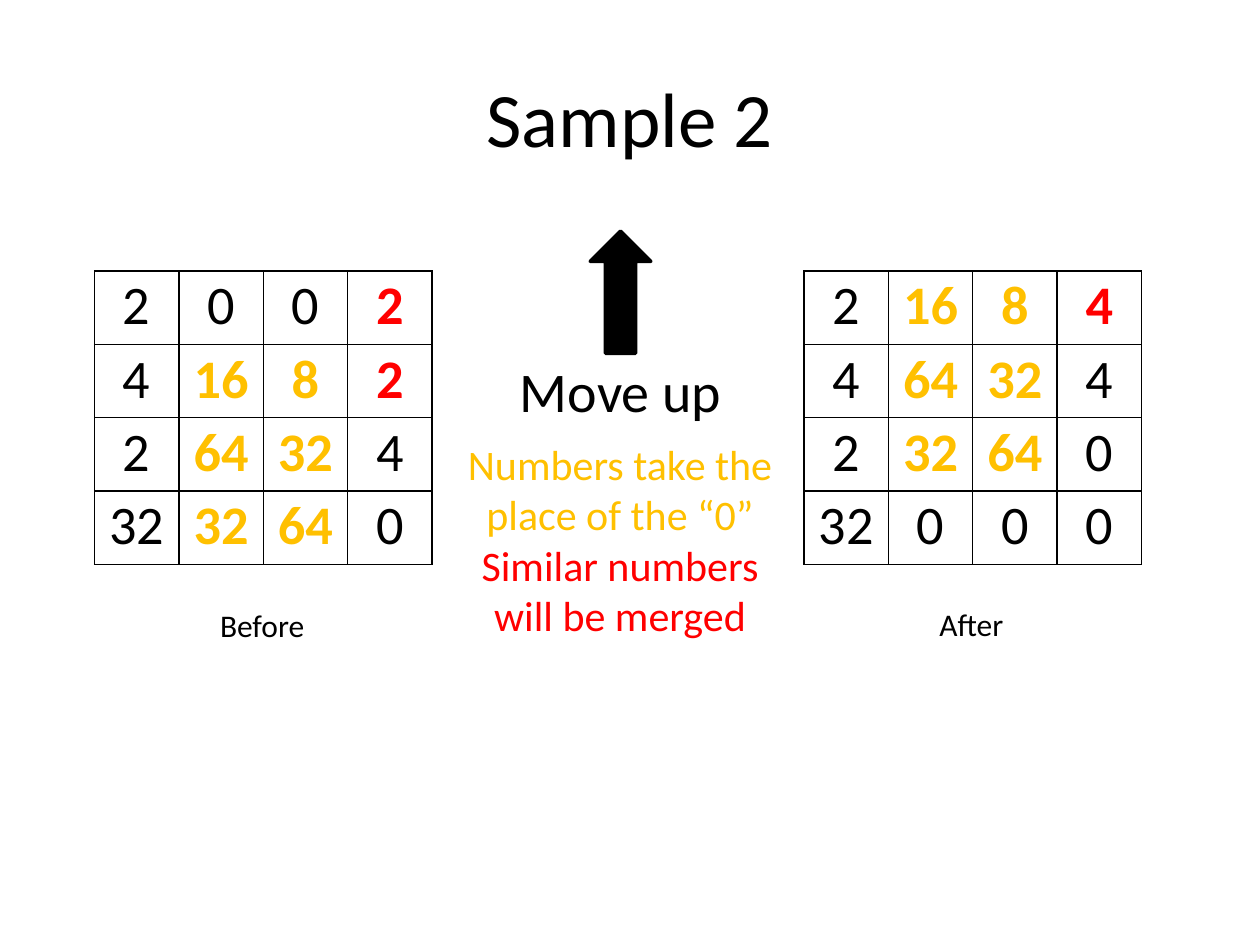
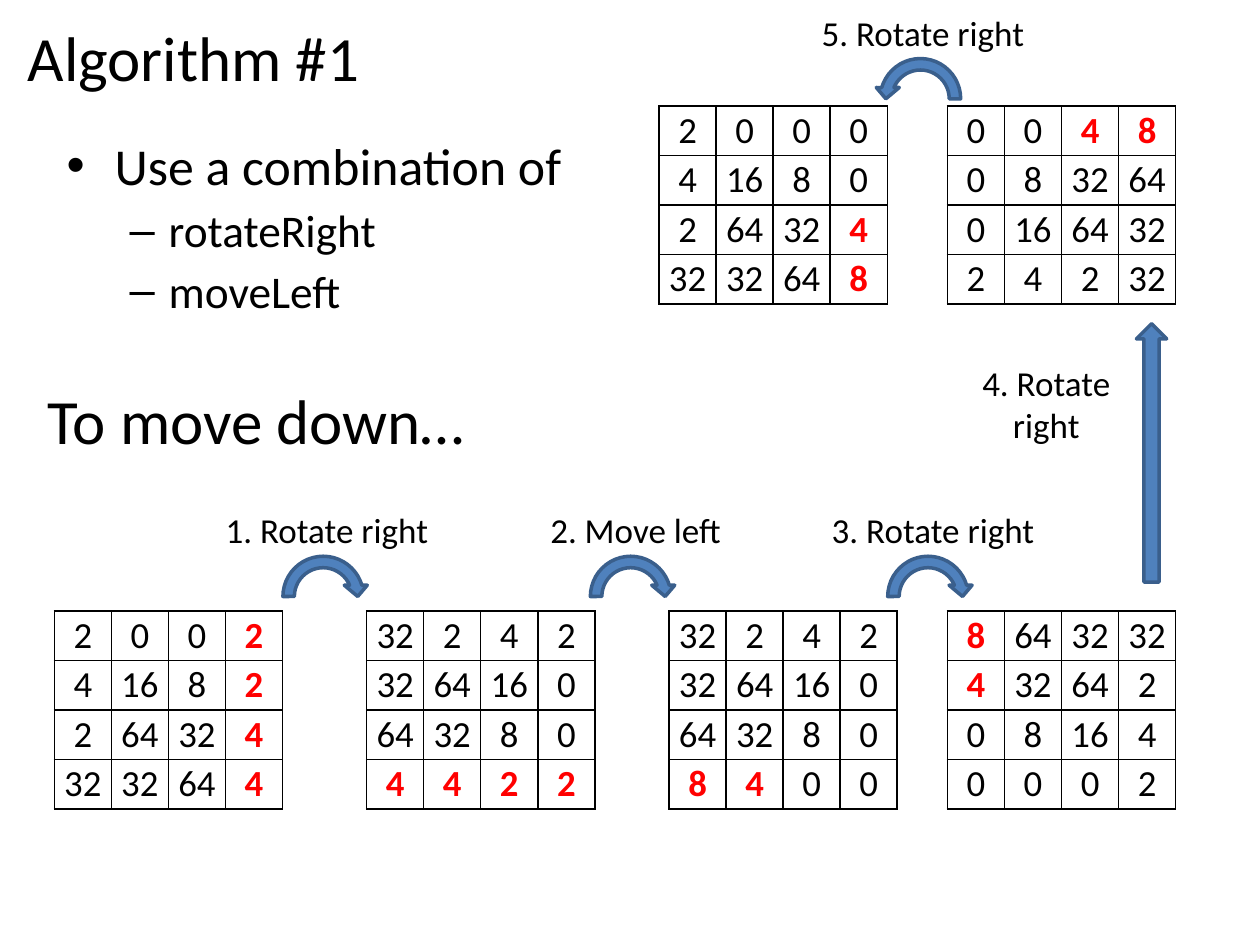
from lxml import etree
from pptx import Presentation
from pptx.dml.color import RGBColor
from pptx.enum.shapes import MSO_SHAPE
from pptx.enum.text import MSO_ANCHOR, PP_ALIGN
from pptx.oxml.ns import qn
from pptx.util import Pt

UP_ARROW = MSO_SHAPE.UP_ARROW
CURVED_ARROW = MSO_SHAPE.CIRCULAR_ARROW
LEFT, CENTER = PP_ALIGN.LEFT, PP_ALIGN.CENTER
MIDDLE = MSO_ANCHOR.MIDDLE

BLACK = RGBColor(0x00, 0x00, 0x00)
RED = RGBColor(0xFF, 0x00, 0x00)
AMBER = RGBColor(0xFF, 0xC0, 0x00)
BLUE = RGBColor(0x4F, 0x81, 0xBD)
DARK_BLUE = RGBColor(0x3A, 0x5F, 0x8C)

FONT = "Calibri"
TITLE_ONLY = 5
MARKS = {"*": RED, "+": AMBER}
LARGE = {"cell_w": 48.24, "cell_h": 41.95, "size": 31, "margin": 3.6}
SMALL = {"cell_w": 32.6, "cell_h": 28.3, "size": 21, "margin": 2.2}

BEFORE = ["2 0 0 2*", "4 16+ 8+ 2*", "2 64+ 32+ 4", "32 32+ 64+ 0"]
AFTER = ["2 16+ 8+ 4*", "4 64+ 32+ 4", "2 32+ 64+ 0", "32 0 0 0"]

LOWER_TOP, UPPER_TOP = 349.2, 60.5
STEP_BOARDS = [
    (31, LOWER_TOP, ["2 0 0 2*", "4 16 8 2*", "2 64 32 4*", "32 32 64 4*"]),
    (209.5, LOWER_TOP, ["32 2 4 2", "32 64 16 0", "64 32 8 0", "4* 4* 2* 2*"]),
    (382.3, LOWER_TOP, ["32 2 4 2", "32 64 16 0", "64 32 8 0", "8* 4* 0 0"]),
    (541.4, LOWER_TOP, ["8* 64 32 32", "4* 32 64 2", "0 8 16 4", "0 0 0 2"]),
    (541.4, UPPER_TOP, ["0 0 4* 8*", "0 8 32 64", "0 16 64 32", "2 4 2 32"]),
    (376.6, UPPER_TOP, ["2 0 0 0", "4 16 8 0", "2 64 32 4*", "32 32 64 8*"]),
]
STEP_LABELS = [
    ("1. Rotate right", 115.9, 287.3, 141.8, 31.5),
    ("2. Move left", 292.3, 287.3, 141.8, 31.5),
    ("3. Rotate right", 468, 287.3, 130.3, 31.5),
    ("4. Rotate right", 541.4, 203, 113, 55.4),
    ("5. Rotate right", 456.5, 2.9, 141.8, 31.5),
]
CURVES = [(158.4, 314.6, False), (334.1, 314.6, False), (504, 314.6, False), (499.7, 30.2, True)]


def points(*lengths):
    return [Pt(length) for length in lengths]


def style_font(font, size, color=BLACK, bold=False):
    for attribute, value in {"name": FONT, "size": Pt(size), "bold": bold}.items():
        setattr(font, attribute, value)
    font.color.rgb = color


def set_title(slide, text, place, size, align):
    title = slide.shapes.title
    title.left, title.top, title.width, title.height = points(*place)
    frame = title.text_frame
    frame.text = text
    frame.vertical_anchor = MIDDLE
    frame.paragraphs[0].alignment = align
    style_font(frame.paragraphs[0].font, size)


def add_text(slide, place, lines, size, align=CENTER):
    frame = slide.shapes.add_textbox(*points(*place)).text_frame
    frame.word_wrap = True
    for index, (text, color) in enumerate(lines):
        paragraph = frame.add_paragraph() if index else frame.paragraphs[0]
        paragraph.text = text
        paragraph.alignment = align
        style_font(paragraph.font, size, color)


def add_bullets(slide, place, items):
    frame = slide.shapes.add_textbox(*points(*place)).text_frame
    frame.word_wrap = True
    for index, (text, bullet, size, margin, hanging) in enumerate(items):
        paragraph = frame.add_paragraph() if index else frame.paragraphs[0]
        paragraph.text = text
        if index:
            paragraph.level = 1
            paragraph.space_before = Pt(3.5)
        properties = paragraph._p.get_or_add_pPr()
        properties.set("marL", str(Pt(margin)))
        properties.set("indent", str(-Pt(hanging)))
        etree.SubElement(properties, qn("a:buFont"), typeface="Arial")
        etree.SubElement(properties, qn("a:buChar"), char=bullet)
        style_font(paragraph.font, size)


def add_borders(cell):
    properties = cell._tc.get_or_add_tcPr()
    for side in ("a:lnL", "a:lnR", "a:lnT", "a:lnB"):
        border = etree.SubElement(properties, qn(side), w=str(Pt(1)))
        fill = etree.SubElement(border, qn("a:solidFill"))
        etree.SubElement(fill, qn("a:srgbClr"), val=str(BLACK))


def fill_cell(cell, entry, size, margin):
    number = entry.rstrip("*+")
    mark = entry[len(number):]
    margins = {"margin_left": margin, "margin_right": margin, "margin_top": 1.3, "margin_bottom": 1.3}
    for attribute, length in margins.items():
        setattr(cell, attribute, Pt(length))
    add_borders(cell)
    cell.fill.background()
    cell.text = number
    paragraph = cell.text_frame.paragraphs[0]
    paragraph.alignment = CENTER
    style_font(paragraph.font, size, MARKS.get(mark, BLACK), bool(mark))


def add_board(slide, left, top, rows, cell_w, cell_h, size, margin):
    count = len(rows)
    place = points(left, top, cell_w * count, cell_h * count)
    board = slide.shapes.add_table(count, count, *place).table
    board.first_row = board.horz_banding = False
    for index, row in enumerate(rows):
        board.columns[index].width = Pt(cell_w)
        board.rows[index].height = Pt(cell_h)
        for column, entry in enumerate(row.split()):
            fill_cell(board.cell(index, column), entry, size, margin)


def add_arrow(slide, kind, place, fill, line, mirrored=False):
    arrow = slide.shapes.add_shape(kind, *points(*place))
    arrow.shadow.inherit = False
    arrow.fill.solid()
    arrow.fill.fore_color.rgb = fill
    arrow.line.color.rgb = line
    arrow.line.width = Pt(2)
    if mirrored:
        arrow.element.spPr.get_or_add_xfrm().set("flipH", "1")


def build_sample(slide):
    set_title(slide, "Sample 2", (36, 21.6, 648, 90), 44, CENTER)
    add_board(slide, 54, 154.8, BEFORE, **LARGE)
    add_board(slide, 459.4, 154.8, AFTER, **LARGE)
    add_arrow(slide, UP_ARROW, (337.3, 132.1, 34.6, 69.8), BLACK, BLACK)
    add_text(slide, (278, 200.2, 153.4, 46), [("Move up", BLACK)], 32)
    rules = [("Numbers take the place of the “0”", AMBER), ("Similar numbers will be merged", RED)]
    add_text(slide, (257.8, 247, 193, 123.8), rules, 24)
    add_text(slide, (67.7, 342.7, 164.2, 28.8), [("Before", BLACK)], 18)
    add_text(slide, (473, 342, 164.2, 28.8), [("After", BLACK)], 18)


def build_algorithm(slide):
    set_title(slide, "Algorithm #1", (8.6, 6.5, 711.4, 51), 36, LEFT)
    add_bullets(slide, (31, 73, 302.4, 141.8), [
        ("Use a combination of", "•", 29.6, 27.4, 27.4),
        ("rotateRight", "–", 25.9, 58.3, 22.3),
        ("moveLeft", "–", 25.9, 58.3, 22.3),
    ])
    add_text(slide, (20.2, 214.6, 329, 51), [("To move down…", BLACK)], 36, LEFT)
    for left, top, rows in STEP_BOARDS:
        add_board(slide, left, top, rows, **SMALL)
    for text, *place in STEP_LABELS:
        add_text(slide, place, [(text, BLACK)], 20)
    for left, top, mirrored in CURVES:
        add_arrow(slide, CURVED_ARROW, (left, top, 52.6, 52.6), BLUE, DARK_BLUE, mirrored)
    add_arrow(slide, UP_ARROW, (649.4, 185, 17.3, 147.6), BLUE, DARK_BLUE)


def main():
    deck = Presentation()
    deck.slide_width, deck.slide_height = points(720, 540)
    for build in (build_sample, build_algorithm):
        build(deck.slides.add_slide(deck.slide_layouts[TITLE_ONLY]))
    deck.save("out.pptx")


if __name__ == "__main__":
    main()
